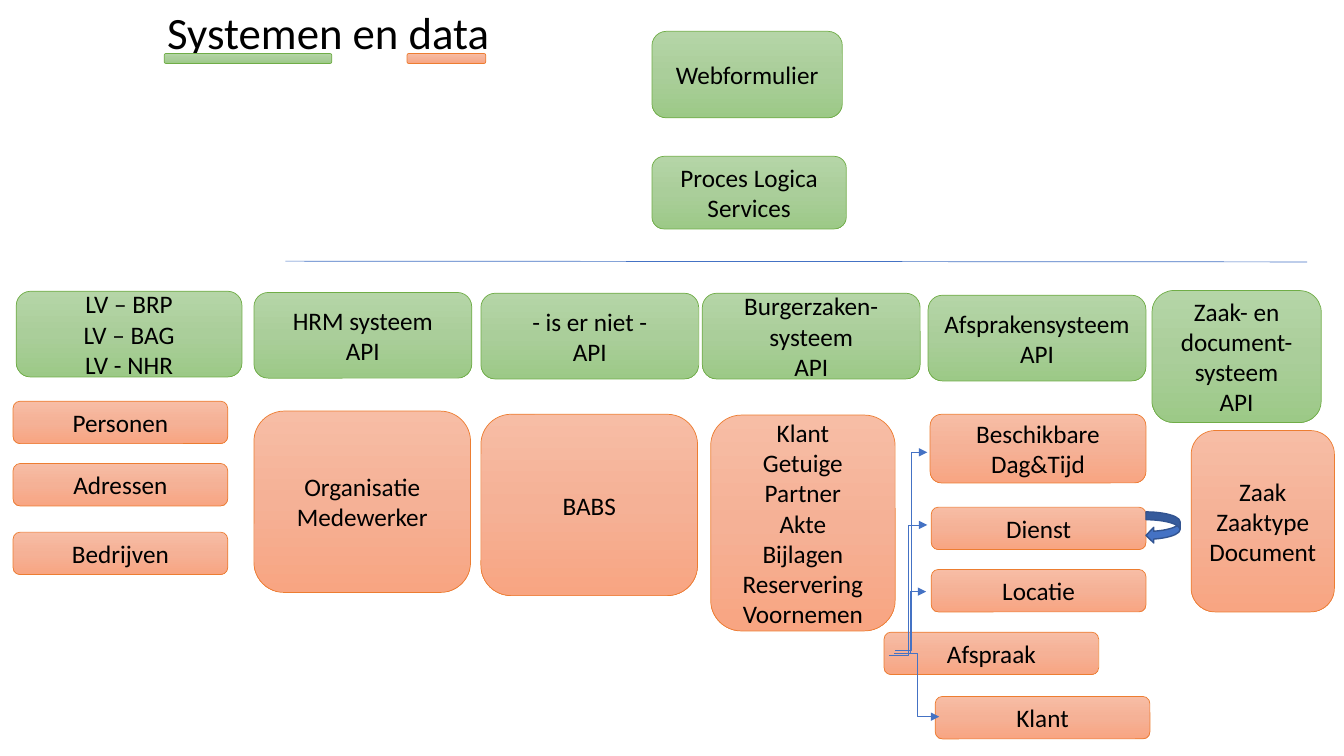
from copy import deepcopy
from dataclasses import dataclass

from lxml.etree import SubElement
from pptx import Presentation
from pptx.dml.color import RGBColor
from pptx.enum.shapes import MSO_CONNECTOR, MSO_SHAPE
from pptx.enum.text import MSO_ANCHOR, PP_ALIGN
from pptx.oxml.ns import qn
from pptx.shapes.autoshape import Shape
from pptx.shapes.connector import Connector
from pptx.slide import Slide
from pptx.text.text import TextFrame
from pptx.util import Cm, Pt

COLORS = {
    "text": "000000",
    "link": "4472C4",
    "edge": "325491",
    "system": "70AD47",
    "data": "ED7D31",
}
FADES = {
    "system": ("B5D5A7", "AACE9A", "9CC987"),
    "data": ("F7BDA5", "F5B196", "F8A582"),
}
FONT = "Calibri"


@dataclass
class Box:
    kind: str
    text: str
    left: float
    top: float
    width: float
    height: float


@dataclass
class Link:
    left: float
    top: float
    right: float
    end: float


def head(text: str, left: float, top: float) -> Box:
    return Box("system", text, left, top, 5.49, 2.16)


def item(text: str, left: float, top: float) -> Box:
    return Box("data", text, left, top, 5.41, 1.07)


BOXES = [
    Box("system", "Webformulier", 16.43, 0.79, 4.8, 2.18),
    Box("system", "Proces Logica\nServices", 16.43, 3.94, 4.9, 1.83),
    Box("system", "LV – BRP\nLV – BAG\nLV - NHR", 0.41, 7.34, 5.69, 2.16),
    head("HRM systeem\nAPI", 6.4, 7.37),
    head("- is er niet -\nAPI", 12.12, 7.39),
    head("Burgerzaken-systeem\nAPI", 17.7, 7.39),
    head("Afsprakensysteem API", 23.39, 7.44),
    Box("system", "Zaak- en document-systeem\nAPI", 29.03, 7.32, 4.27, 3.33),
    item("Personen", 0.33, 10.11),
    item("Adressen", 0.33, 11.68),
    item("Bedrijven", 0.33, 13.41),
    Box("data", "Organisatie\nMedewerker", 6.4, 10.36, 5.46, 4.57),
    Box("data", "BABS", 12.12, 10.44, 5.46, 4.57),
    Box("data", "Klant\nGetuige\nPartner\nAkte\nBijlagen\nReservering\nVoornemen",
        17.91, 10.46, 4.65, 5.44),
    Box("data", "Beschikbare\nDag&Tijd", 23.44, 10.44, 5.44, 1.73),
    item("Dienst", 23.47, 12.78),
    item("Locatie", 23.47, 14.35),
    item("Afspraak", 22.28, 15.93),
    item("Klant", 23.57, 17.55),
    Box("data", "Zaak\nZaaktype\nDocument", 30.02, 10.85, 3.61, 4.57),
    Box("system", "", 4.14, 1.35, 4.22, 0.25),
    Box("data", "", 10.26, 1.35, 1.98, 0.25),
]
LINKS = [
    Link(22.53, 16.46, 23.34, 14.91),
    Link(22.4, 16.51, 23.37, 13.23),
    Link(22.56, 16.38, 23.37, 11.4),
    Link(22.56, 16.46, 23.67, 18.06),
]
RULE = Link(7.19, 6.58, 32.94, 6.6)


def tint(code: str) -> RGBColor:
    return RGBColor.from_string(code)


def style(frame: TextFrame, size: int, align: PP_ALIGN) -> None:
    frame.word_wrap = True
    frame.vertical_anchor = MSO_ANCHOR.MIDDLE
    for para in frame.paragraphs:
        para.alignment = align
        para.font.name = FONT
        para.font.size = Pt(size)
        para.font.color.rgb = tint(COLORS["text"])


def fade(shape: Shape, codes: tuple[str, ...]) -> None:
    shape.fill.gradient()
    shape.fill.gradient_angle = 270
    stops = shape._element.spPr.find(".//" + qn("a:gsLst"))
    stops.insert(1, deepcopy(stops[0]))
    for rank, (stop, code) in enumerate(zip(shape.fill.gradient_stops, codes)):
        stop.position = rank / 2
        stop.color.rgb = tint(code)


def draw_box(slide: Slide, box: Box) -> None:
    shape = slide.shapes.add_shape(
        MSO_SHAPE.ROUNDED_RECTANGLE,
        Cm(box.left), Cm(box.top), Cm(box.width), Cm(box.height))
    shape.shadow.inherit = False
    fade(shape, FADES[box.kind])
    shape.line.color.rgb = tint(COLORS[box.kind])
    shape.line.width = Pt(0.5)
    if box.text:
        shape.text_frame.text = box.text
        style(shape.text_frame, 18, PP_ALIGN.CENTER)


def draw_line(slide: Slide, link: Link, kind: MSO_CONNECTOR) -> Connector:
    line = slide.shapes.add_connector(
        kind, Cm(link.left), Cm(link.top), Cm(link.right), Cm(link.end))
    line.line.color.rgb = tint(COLORS["link"])
    line.line.width = Pt(0.5)
    SubElement(line._element.spPr, qn("a:effectLst"))
    return line


def draw_link(slide: Slide, link: Link) -> None:
    line = draw_line(slide, link, MSO_CONNECTOR.ELBOW)
    SubElement(line.line._get_or_add_ln(), qn("a:tailEnd"), type="triangle")


def draw_loop(slide: Slide) -> None:
    loop = slide.shapes.add_shape(
        MSO_SHAPE.CURVED_LEFT_ARROW, Cm(28.88), Cm(12.9), Cm(0.86), Cm(0.79))
    loop.shadow.inherit = False
    loop.fill.solid()
    loop.fill.fore_color.rgb = tint(COLORS["link"])
    loop.line.color.rgb = tint(COLORS["edge"])
    loop.line.width = Pt(1)


def draw_title(slide: Slide) -> None:
    title = slide.shapes.title
    title.left, title.top = Cm(3.96), Cm(-0.03)
    title.width, title.height = Cm(16.26), Cm(1.63)
    title.text_frame.text = "Systemen en data"
    style(title.text_frame, 32, PP_ALIGN.LEFT)


def main() -> None:
    deck = Presentation()
    deck.slide_width, deck.slide_height = Cm(33.87), Cm(19.05)
    slide = deck.slides.add_slide(deck.slide_layouts[5])
    draw_title(slide)
    draw_line(slide, RULE, MSO_CONNECTOR.STRAIGHT)
    for box in BOXES:
        draw_box(slide, box)
    for link in LINKS:
        draw_link(slide, link)
    draw_loop(slide)
    deck.save("out.pptx")


main()
